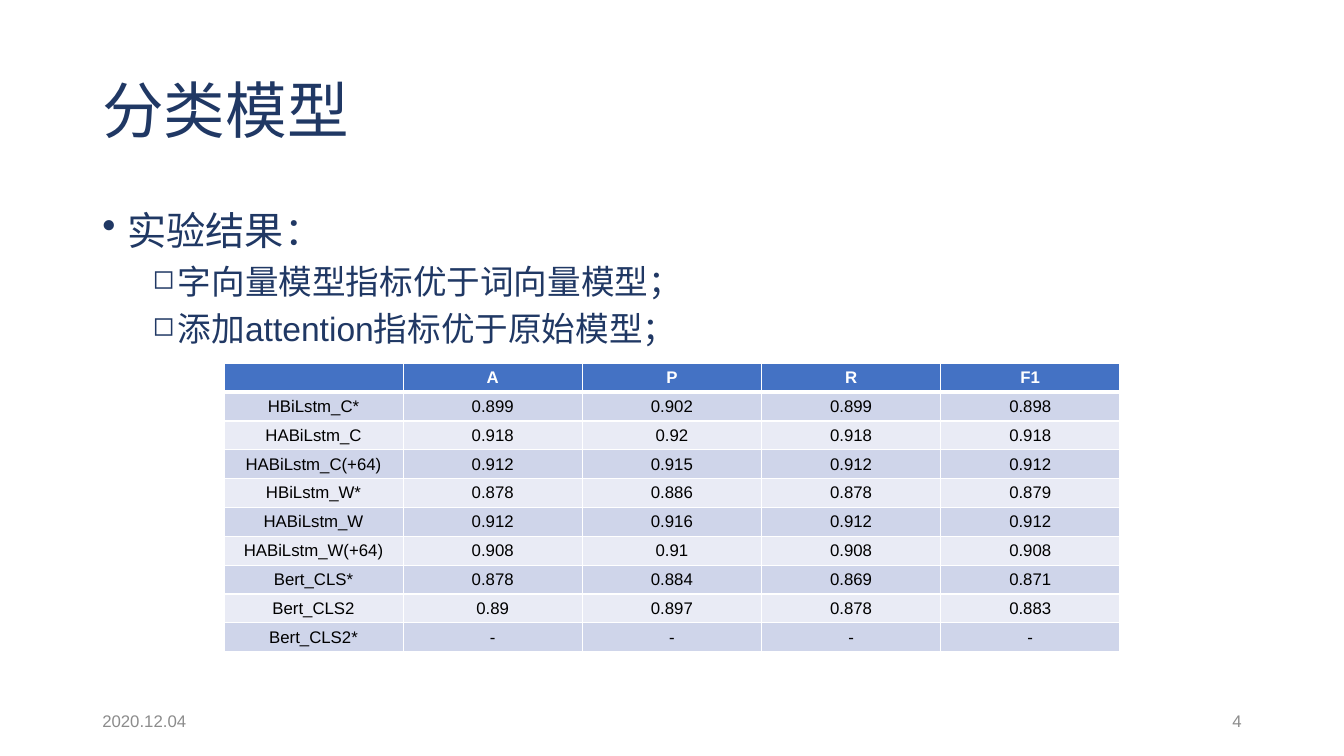
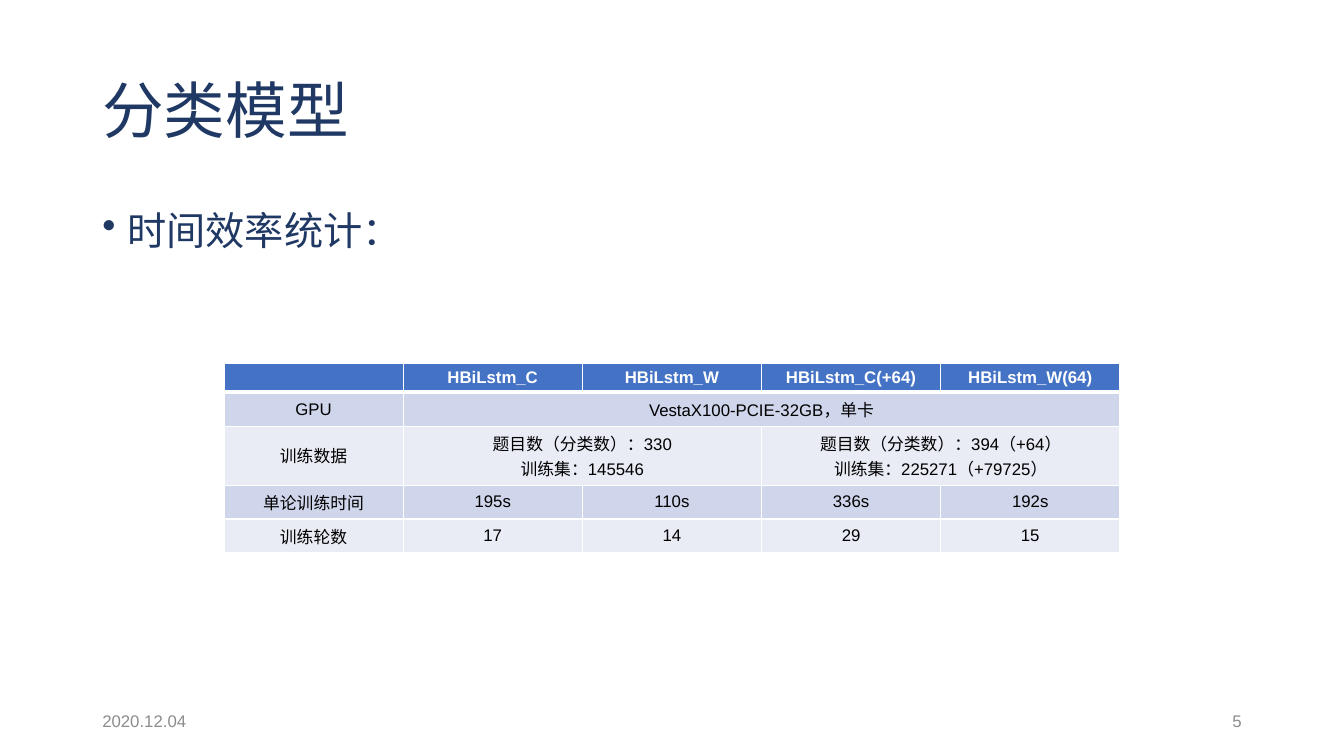
from lxml import etree
from pptx import Presentation
from pptx.dml.color import RGBColor
from pptx.enum.text import MSO_ANCHOR as Anchor, PP_ALIGN as Align
from pptx.oxml.ns import qn
from pptx.util import Pt

NAVY = RGBColor(0x20, 0x38, 0x64)
GREY = RGBColor(0x8C, 0x8C, 0x8C)
BLACK = RGBColor(0, 0, 0)
WHITE = RGBColor(0xFF, 0xFF, 0xFF)
HEADER_BLUE = RGBColor(0x44, 0x72, 0xC4)
BANDS = (RGBColor(0xCF, 0xD5, 0xEA), RGBColor(0xE9, 0xEB, 0xF5))

SERIF, SANS = "Times New Roman", "Arial"
SLIDE_W, SLIDE_H = 960, 540
MARGIN = 66
CONTENT_W = SLIDE_W - 2 * MARGIN
FOOTER_W = 216
TABLE_BOX = (160, 259.6, 640)
CELL_SIZE = 12
CELL_PADDING = 3
# Row heights for Latin text, one line of Chinese and two lines of Chinese
LATIN_ROW, CHINESE_ROW, DOUBLE_ROW = 20.6, 24.2, 42.2

# Bullet, its size in percent, font, size, left indent and space before
LEVELS = (("•", 100, SERIF, 28, 18, 10), ("◻", 80, SANS, 24, 54, 5))
HANGING = 18

RESULTS = [
    ["", "A", "P", "R", "F1"],
    ["HBiLstm_C*", "0.899", "0.902", "0.899", "0.898"],
    ["HABiLstm_C", "0.918", "0.92", "0.918", "0.918"],
    ["HABiLstm_C(+64)", "0.912", "0.915", "0.912", "0.912"],
    ["HBiLstm_W*", "0.878", "0.886", "0.878", "0.879"],
    ["HABiLstm_W", "0.912", "0.916", "0.912", "0.912"],
    ["HABiLstm_W(+64)", "0.908", "0.91", "0.908", "0.908"],
    ["Bert_CLS*", "0.878", "0.884", "0.869", "0.871"],
    ["Bert_CLS2", "0.89", "0.897", "0.878", "0.883"],
    ["Bert_CLS2*", "-", "-", "-", "-"],
]

# None continues the cell to its left
TIMINGS = [
    ["", "HBiLstm_C", "HBiLstm_W", "HBiLstm_C(+64)", "HBiLstm_W(64)"],
    ["GPU", "VestaX100-PCIE-32GB，单卡", None, None, None],
    ["训练数据", "题目数（分类数）：330\n训练集：145546", None,
     "题目数（分类数）：394（+64）\n训练集：225271（+79725）", None],
    ["单论训练时间", "195s", "110s", "336s", "192s"],
    ["训练轮数", "17", "14", "29", "15"],
]

SLIDES = [
    (4, [(0, "实验结果："), (1, "字向量模型指标优于词向量模型；"),
         (1, "添加attention指标优于原始模型；")], RESULTS),
    (5, [(0, "时间效率统计：")], TIMINGS),
]


def add_run(paragraph, text, font_name, size, color, bold=False):
    run = paragraph.add_run()
    run.text = text
    font = run.font
    font.name, font.size, font.bold = font_name, Pt(size), bold
    font.color.rgb = color


def add_frame(slide, box, anchor):
    frame = slide.shapes.add_textbox(*map(Pt, box)).text_frame
    frame.word_wrap = True
    frame.vertical_anchor = anchor
    return frame


def add_title(slide, box, text):
    paragraph = add_frame(slide, box, Anchor.MIDDLE).paragraphs[0]
    paragraph.line_spacing = 0.9
    add_run(paragraph, text, SERIF, 44, NAVY)


def add_outline(slide, box, points):
    frame = add_frame(slide, box, Anchor.TOP)
    for index, (level, text) in enumerate(points):
        paragraph = frame.add_paragraph() if index else frame.paragraphs[0]
        bullet, percent, font_name, size, indent, gap = LEVELS[level]
        props = paragraph._p.get_or_add_pPr()
        props.set("marL", str(Pt(indent)))
        props.set("indent", str(-Pt(HANGING)))
        etree.SubElement(props, qn("a:buSzPct")).set("val", str(percent * 1000))
        etree.SubElement(props, qn("a:buChar")).set("char", bullet)
        paragraph.level = level
        paragraph.space_before = Pt(gap if index else 0)
        add_run(paragraph, text, font_name, size, NAVY)


def add_footer(slide, box, date, number):
    left, top, width, height = box
    parts = ((left, date, Align.LEFT),
             (left + width - FOOTER_W, str(number), Align.RIGHT))
    for x, text, align in parts:
        frame = add_frame(slide, (x, top, FOOTER_W, height), Anchor.MIDDLE)
        paragraph = frame.paragraphs[0]
        paragraph.alignment = align
        add_run(paragraph, text, SANS, 12, GREY)


def set_borders(cell, top, bottom):
    """Draw white borders, 1 pt at the sides."""
    props = cell._tc.get_or_add_tcPr()
    widths = (("L", 1), ("R", 1), ("T", top), ("B", bottom))
    for place, (side, width) in enumerate(widths):
        line = etree.Element(qn(f"a:ln{side}"), w=str(Pt(width)))
        fill = etree.SubElement(line, qn("a:solidFill"))
        etree.SubElement(fill, qn("a:srgbClr")).set("val", str(WHITE))
        props.insert(place, line)


def fill_cell(cell, text, row):
    header = row == 0
    cell.fill.solid()
    cell.fill.fore_color.rgb = HEADER_BLUE if header else BANDS[(row - 1) % 2]
    cell.vertical_anchor = Anchor.MIDDLE
    cell.margin_top = cell.margin_bottom = Pt(CELL_PADDING)
    set_borders(cell, 3 if row == 1 else 1, 3 if header else 1)
    frame = cell.text_frame
    for index, line in enumerate((text or "").split("\n")):
        paragraph = frame.add_paragraph() if index else frame.paragraphs[0]
        paragraph.alignment = Align.CENTER
        if line:
            add_run(paragraph, line, SANS, CELL_SIZE,
                    WHITE if header else BLACK, header)
        else:
            end = etree.SubElement(paragraph._p, qn("a:endParaRPr"))
            end.set("sz", str(CELL_SIZE * 100))


def row_height(texts):
    row_text = "".join(text or "" for text in texts)
    if "\n" in row_text:
        return DOUBLE_ROW
    return LATIN_ROW if row_text.isascii() else CHINESE_ROW


def add_grid(slide, box, rows):
    left, top, width = box
    columns = len(rows[0])
    heights = [row_height(texts) for texts in rows]
    table = slide.shapes.add_table(
        len(rows), columns, Pt(left), Pt(top), Pt(width),
        Pt(sum(heights))).table
    for column in table.columns:
        column.width = Pt(width / columns)
    for r, texts in enumerate(rows):
        table.rows[r].height = Pt(heights[r])
        for c, text in enumerate(texts):
            fill_cell(table.cell(r, c), text, r)
        starts = [c for c, text in enumerate(texts) if text is not None]
        for start, stop in zip(starts, starts[1:] + [columns]):
            if stop - start > 1:
                table.cell(r, start).merge(table.cell(r, stop - 1))


def add_model_slide(deck, number, points, rows):
    slide = deck.slides.add_slide(deck.slide_layouts[6])
    add_title(slide, (MARGIN, 28.8, CONTENT_W, 104.4), "分类模型")
    add_outline(slide, (MARGIN, 144, CONTENT_W, 342.6), points)
    add_footer(slide, (MARGIN, 500.5, CONTENT_W, 28.8), "2020.12.04", number)
    add_grid(slide, TABLE_BOX, rows)


def main():
    deck = Presentation()
    deck.slide_width, deck.slide_height = Pt(SLIDE_W), Pt(SLIDE_H)
    for number, points, rows in SLIDES:
        add_model_slide(deck, number, points, rows)
    deck.save("out.pptx")


if __name__ == "__main__":
    main()
